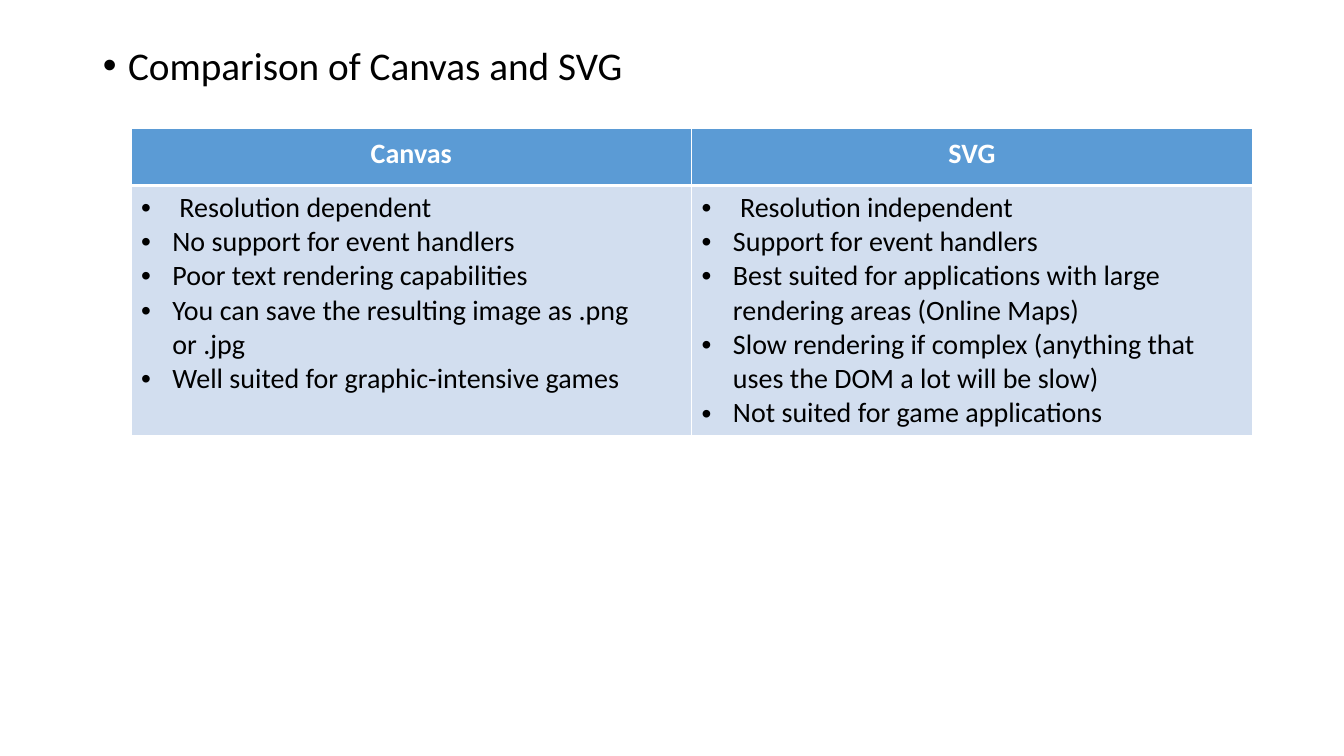
from dataclasses import dataclass

from lxml.etree import SubElement
from pptx import Presentation
from pptx.dml.color import RGBColor
from pptx.enum.text import MSO_ANCHOR, MSO_AUTO_SIZE, PP_ALIGN
from pptx.oxml import parse_xml
from pptx.oxml.ns import nsdecls, qn
from pptx.util import Inches, Pt


@dataclass(frozen=True)
class Theme:
    font: str = "Calibri"
    bullet_font: str = "Arial"
    heading_size: int = 28
    table_size: int = 20
    text: str = "000000"
    white: str = "FFFFFF"
    header_fill: str = "5B9BD5"
    body_fill: str = "D2DEEF"
    thin: int = 1
    thick: int = 3


@dataclass(frozen=True)
class Technology:
    name: str
    traits: tuple[str, ...]


THEME = Theme()
TECHNOLOGIES = (
    Technology("Canvas", (
        "Resolution dependent",
        "No support for event handlers",
        "Poor text rendering capabilities",
        "You can save the resulting image as .png or .jpg",
        "Well suited for graphic-intensive games",
    )),
    Technology("SVG", (
        "Resolution independent",
        "Support for event handlers",
        "Best suited for applications with large rendering areas (Online Maps)",
        "Slow rendering if complex (anything that uses the DOM a lot will be slow)",
        "Not suited for game applications",
    )),
)


def write(para, text: str, *, size: int, color: str, bold: bool = False,
          align=PP_ALIGN.LEFT, line_spacing: float = 1.0, before: int = 0,
          indent: float = 0) -> None:
    """Format a paragraph; a positive indent makes it a bullet."""
    para.alignment = align
    para.line_spacing = line_spacing
    para.space_before = Pt(before)
    span = para.add_run()
    span.text = text
    span.font.name = THEME.font
    span.font.size = Pt(size)
    span.font.bold = bold
    span.font.color.rgb = RGBColor.from_string(color)
    if indent:
        properties = para._p.get_or_add_pPr()
        properties.set("marL", str(Inches(indent)))
        properties.set("indent", str(-Inches(indent)))
        SubElement(properties, qn("a:buFont"), typeface=THEME.bullet_font)
        SubElement(properties, qn("a:buChar"), char="•")


def style_cell(cell, fill: str, *, top: int, bottom: int) -> None:
    """Fill a cell and draw its white borders."""
    cell.fill.solid()
    cell.fill.fore_color.rgb = RGBColor.from_string(fill)
    properties = cell._tc.get_or_add_tcPr()
    widths = {"lnL": THEME.thin, "lnR": THEME.thin, "lnT": top, "lnB": bottom}
    for position, (side, width) in enumerate(widths.items()):
        properties.insert(position, parse_xml(
            f'<a:{side} {nsdecls("a")} w="{Pt(width)}"><a:solidFill>'
            f'<a:srgbClr val="{THEME.white}"/></a:solidFill></a:{side}>'))


def add_heading(page, text: str) -> None:
    box = page.placeholders[1]
    box.left, box.top = Inches(0.92), Inches(0.41)
    box.width, box.height = Inches(11.5), Inches(6.34)
    frame = box.text_frame
    frame.word_wrap = True
    frame.auto_size = MSO_AUTO_SIZE.NONE
    frame.vertical_anchor = MSO_ANCHOR.TOP
    write(frame.paragraphs[0], text, size=THEME.heading_size, color=THEME.text,
          line_spacing=0.9, before=10, indent=0.25)


def add_comparison(page, technologies: tuple[Technology, ...]) -> None:
    table = page.shapes.add_table(
        2, len(technologies), Inches(1.3), Inches(1.27),
        Inches(11.12), Inches(3.01)).table
    table.rows[0].height = Inches(0.57)
    table.rows[1].height = Inches(2.44)
    for column, technology in enumerate(technologies):
        # Header cell
        header = table.cell(0, column)
        style_cell(header, THEME.header_fill, top=THEME.thin, bottom=THEME.thick)
        write(header.text_frame.paragraphs[0], technology.name,
              size=THEME.table_size, color=THEME.white, bold=True,
              align=PP_ALIGN.CENTER, line_spacing=1.1)

        # Bulleted traits
        body = table.cell(1, column)
        style_cell(body, THEME.body_fill, top=THEME.thick, bottom=THEME.thin)
        frame = body.text_frame
        for number, trait in enumerate(technology.traits):
            para = frame.add_paragraph() if number else frame.paragraphs[0]
            write(para, trait, size=THEME.table_size, color=THEME.text,
                  indent=0.31 if number else 0.38)


def main() -> None:
    deck = Presentation()
    deck.slide_width, deck.slide_height = Inches(13.33), Inches(7.5)
    page = deck.slides.add_slide(deck.slide_layouts[1])

    # The heading is a body bullet, so the empty title goes
    title = page.shapes.title.element
    title.getparent().remove(title)

    add_heading(page, "Comparison of Canvas and SVG")
    add_comparison(page, TECHNOLOGIES)
    deck.save("out.pptx")


if __name__ == "__main__":
    main()
